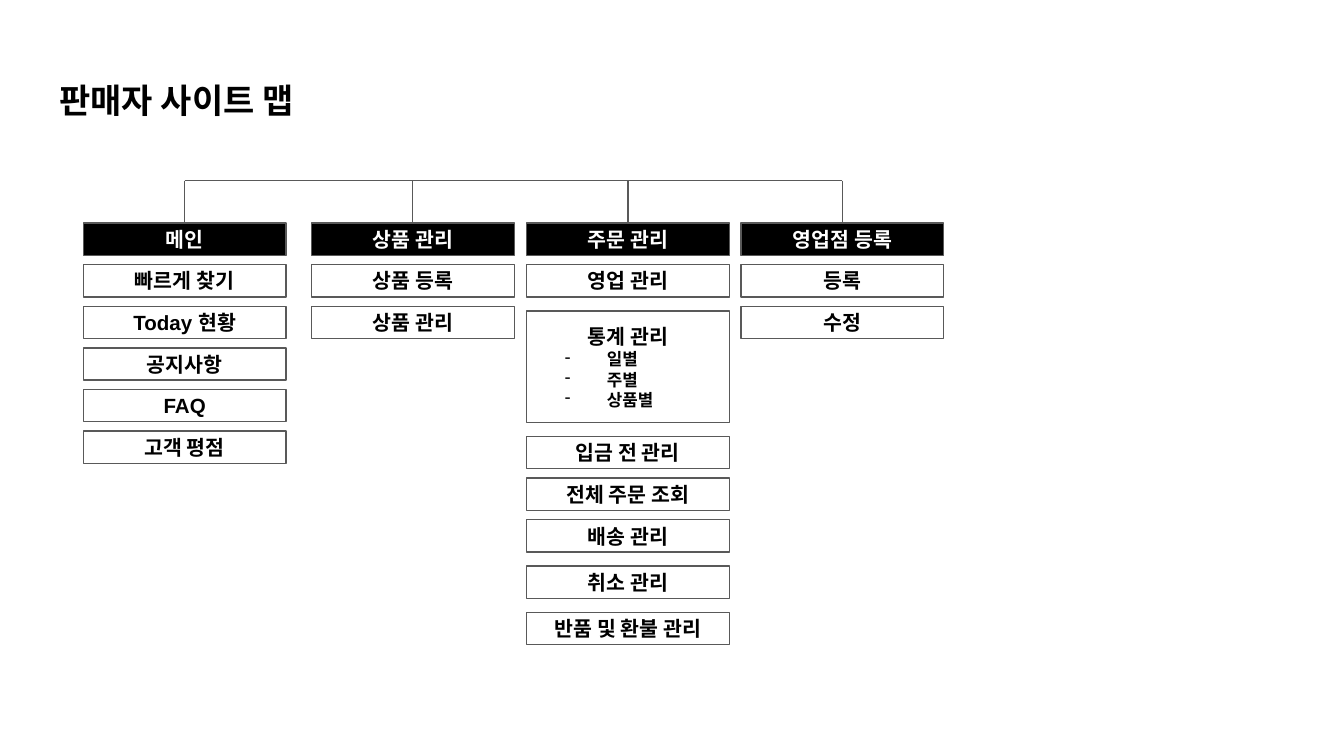
import pptx
import pptx.dml.color
import pptx.enum.shapes
import pptx.enum.text
import pptx.util
from lxml import etree
from pptx.oxml.ns import qn

Pt = pptx.util.Pt
RGBColor = pptx.dml.color.RGBColor
Align = pptx.enum.text.PP_ALIGN
Anchor = pptx.enum.text.MSO_ANCHOR

BLACK = RGBColor(0x00, 0x00, 0x00)
WHITE = RGBColor(0xFF, 0xFF, 0xFF)
GRAY = RGBColor(0x59, 0x59, 0x59)

FONT = "Arial"
INSET = 7.2
BOX_WIDTH, BOX_HEIGHT = 108.7, 17.3
STATS_HEIGHT = 59.8
HEADER_TOP = 119.5
BUS_TOP = 96.8
GAP, WIDE_GAP = 5, 7.5

STATS = "통계 관리"
STATS_PERIODS = ["일별", "주별", "상품별"]
WIDELY_SPACED = {STATS, "입금 전 관리", "취소 관리", "반품 및 환불 관리"}

# Left edge, menu heading, menu items
MENUS = [
    (44.6, "메인", ["빠르게 찾기", "Today 현황", "공지사항", "FAQ", "고객 평점"]),
    (166.8, "상품 관리", ["상품 등록", "상품 관리"]),
    (282, "주문 관리", ["영업 관리", STATS, "입금 전 관리", "전체 주문 조회",
                    "배송 관리", "취소 관리", "반품 및 환불 관리"]),
    (396.9, "영업점 등록", ["등록", "수정"]),
]


def format_paragraph(paragraph, size, color, alignment):
    paragraph.alignment = alignment
    for run in paragraph.runs:
        run.font.name = FONT
        run.font.size = Pt(size)
        run.font.bold = True
        run.font.color.rgb = color


def set_insets(frame):
    frame.margin_left = frame.margin_right = Pt(INSET)
    frame.margin_top = frame.margin_bottom = Pt(INSET)


def add_title(slide, text):
    title = slide.shapes.title
    title.left, title.top = Pt(24.5), Pt(35.3)
    title.width, title.height = Pt(671), Pt(45.4)
    frame = title.text_frame
    frame.text = text
    frame.auto_size = pptx.enum.text.MSO_AUTO_SIZE.NONE
    frame.vertical_anchor = Anchor.TOP
    set_insets(frame)
    format_paragraph(frame.paragraphs[0], 18.2, BLACK, Align.LEFT)


def add_box(slide, left, top, text, height=BOX_HEIGHT, fill=WHITE, color=BLACK):
    box = slide.shapes.add_shape(pptx.enum.shapes.MSO_SHAPE.RECTANGLE,
                                 Pt(left), Pt(top), Pt(BOX_WIDTH), Pt(height))
    box.shadow.inherit = False
    box.fill.solid()
    box.fill.fore_color.rgb = fill
    box.line.color.rgb = GRAY
    box.line.width = Pt(0.75)
    frame = box.text_frame
    frame.text = text
    frame.word_wrap = True
    frame.vertical_anchor = Anchor.MIDDLE
    set_insets(frame)
    format_paragraph(frame.paragraphs[0], 11, color, Align.CENTER)
    return box


def add_dash_item(frame, text):
    paragraph = frame.add_paragraph()
    paragraph.text = text
    format_paragraph(paragraph, 9, BLACK, Align.LEFT)
    properties = paragraph._p.get_or_add_pPr()
    properties.set("marL", str(Pt(36)))
    properties.set("indent", str(Pt(-22.5)))
    bullet_color = etree.SubElement(properties, qn("a:buClr"))
    etree.SubElement(bullet_color, qn("a:srgbClr"), val=str(BLACK))
    etree.SubElement(properties, qn("a:buChar"), char="-")


def add_stats_box(slide, left, top):
    stats = add_box(slide, left, top, STATS, STATS_HEIGHT)
    stats.text_frame.vertical_anchor = Anchor.TOP
    for period in STATS_PERIODS:
        add_dash_item(stats.text_frame, period)


def add_menu(slide, left, heading, items):
    """Draw one column of the site map and return its heading box."""
    header = add_box(slide, left, HEADER_TOP, heading, fill=BLACK, color=WHITE)
    bottom = HEADER_TOP + BOX_HEIGHT
    for item in items:
        top = bottom + (WIDE_GAP if item in WIDELY_SPACED else GAP)
        if item == STATS:
            add_stats_box(slide, left, top)
            bottom = top + STATS_HEIGHT
        else:
            add_box(slide, left, top, item)
            bottom = top + BOX_HEIGHT
    return header


def add_line(slide, x1, y1, x2, y2):
    line = slide.shapes.add_connector(pptx.enum.shapes.MSO_CONNECTOR.STRAIGHT,
                                      x1, y1, x2, y2)
    line.line.color.rgb = GRAY
    line.line.width = Pt(0.75)
    etree.SubElement(line._element.spPr, qn("a:effectLst"))
    return line


def link_headers(slide, headers):
    """Join the headings by a horizontal line with a drop to each."""
    centers = [header.left + header.width // 2 for header in headers]
    add_line(slide, centers[0], Pt(BUS_TOP), centers[-1], Pt(BUS_TOP))
    for header, center in zip(headers, centers):
        drop = add_line(slide, center, Pt(BUS_TOP), center, header.top)
        drop.end_connect(header, 0)


def main():
    presentation = pptx.Presentation()
    presentation.slide_width, presentation.slide_height = Pt(720), Pt(405)
    slide = presentation.slides.add_slide(presentation.slide_layouts[5])
    add_title(slide, "판매자 사이트 맵")
    headers = [add_menu(slide, *menu) for menu in MENUS]
    link_headers(slide, headers)
    presentation.save("out.pptx")


if __name__ == "__main__":
    main()
